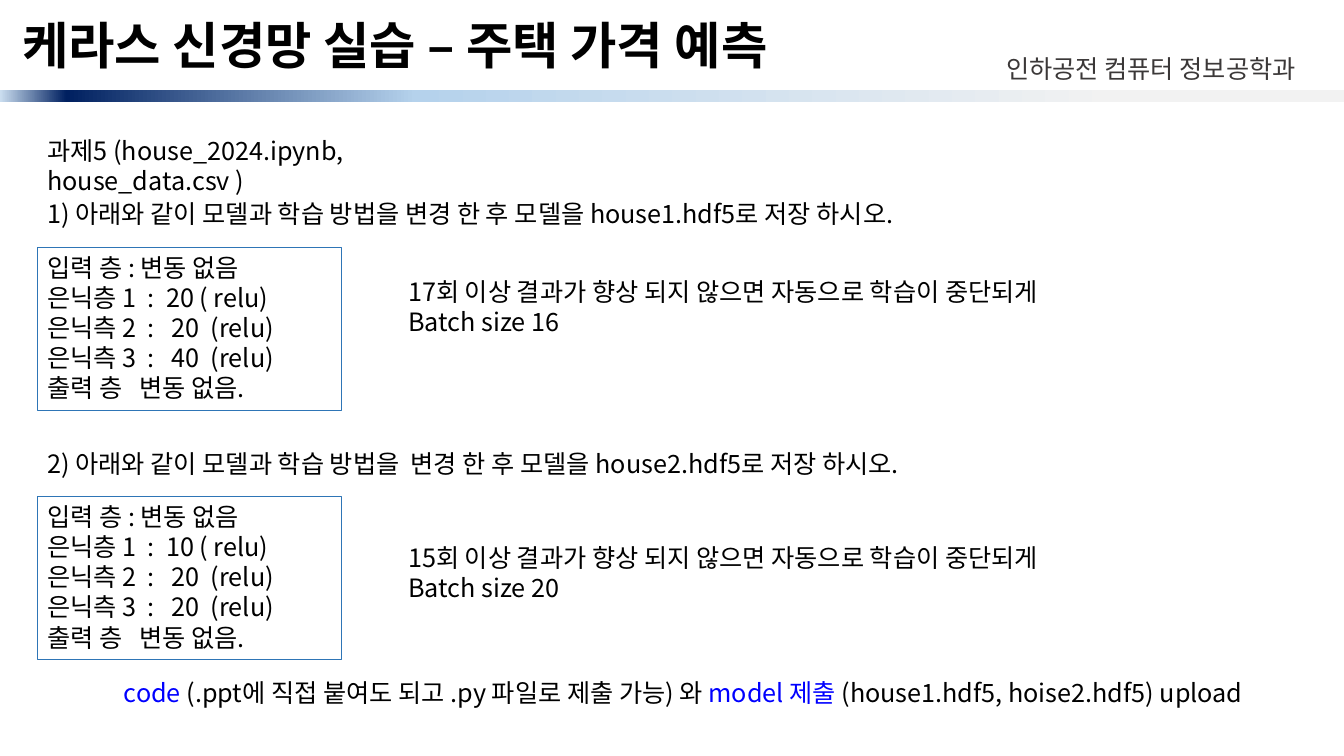
"""Build the slide with the Keras house price assignment."""
from lxml import etree
from pptx import Presentation
from pptx.dml.color import RGBColor
from pptx.enum.shapes import MSO_SHAPE
from pptx.enum.text import MSO_ANCHOR, PP_ALIGN
from pptx.oxml import parse_xml
from pptx.oxml.ns import qn
from pptx.util import Inches, Pt

RECT = MSO_SHAPE.RECTANGLE
TOP, MIDDLE = MSO_ANCHOR.TOP, MSO_ANCHOR.MIDDLE
LEFT = PP_ALIGN.LEFT
THEME = {
    "ink": "000000", "link": "0000FF", "edge": "2E75B6", "dept": "3B3838",
    "fade": [(0, "F2F2F2"), (17, "F2F2F2"), (69, "B5D2EC"), (95, "002060"), (100, "CEE1F2")],
    "body": 18, "title": 36, "pitch": 21.5,
    "font": "Noto Sans CJK KR", "head": "Calibri", "side": "Arial",
}

deck = Presentation()
deck.slide_width, deck.slide_height = Inches(13.33), Inches(7.5)
slide = deck.slides.add_slide(deck.slide_layouts[6])
shapes = slide.shapes


def place(x, y, w, h):
    """Turn percent shares of the slide into lengths."""
    wide, high = deck.slide_width / 100, deck.slide_height / 100
    return int(x * wide), int(y * high), int(w * wide), int(h * high)


def write(shape, lines, font=THEME["font"], size=THEME["body"], tint=THEME["ink"],
          pitch=Pt(THEME["pitch"]), bold=False):
    """Fill a shape with lines, each a list of texts and their colours."""
    frame = shape.text_frame
    frame.word_wrap = True
    frame.vertical_anchor = TOP
    frame.margin_right = 0
    for i, line in enumerate(lines):
        para = frame.paragraphs[0] if i == 0 else frame.add_paragraph()
        para.alignment = LEFT
        para.line_spacing = pitch
        para.font.name, para.font.size, para.font.bold = font, Pt(size), bold
        para.font.color.rgb = RGBColor.from_string(tint)
        latin = para.font._element.find(qn("a:latin"))
        east = etree.Element(qn("a:ea"), typeface=THEME["font"])
        latin.addnext(east)
        if isinstance(line, str):
            para.text = line
            continue
        for text, shade in line:
            run = para.add_run()
            run.text = text
            run.font.color.rgb = RGBColor.from_string(THEME[shade])


bar = shapes.add_shape(RECT, *place(-0.08, 11.87, 100.08, 1.6))
bar.shadow.inherit = False
bar.line.fill.background()
bar.fill.gradient()
bar.fill.gradient_angle = 180
stops = bar.fill._xPr.find(qn("a:gradFill")).find(qn("a:gsLst"))
for stop in list(stops):
    stops.remove(stop)
for spot, shade in THEME["fade"]:
    stops.append(parse_xml(
        '<a:gs xmlns:a="http://schemas.openxmlformats.org/drawingml/2006/main" '
        f'pos="{spot * 1000}"><a:srgbClr val="{shade}"/></a:gs>'))

dept = shapes.add_textbox(*place(74.12, 6.4, 25.58, 5.33))
write(dept, ["인하공전 컴퓨터 정보공학과"], font=THEME["side"], tint=THEME["dept"])

title = shapes.add_textbox(*place(0.45, 1.2, 99.17, 10.27))
write(title, ["케라스 신경망 실습 – 주택 가격 예측"], font=THEME["head"],
      size=THEME["title"], pitch=0.9, bold=True)
title.text_frame.vertical_anchor = MIDDLE
title.text_frame.margin_left = Inches(0.16)

MARGIN, NOTE = 2.78, 29.63
intro = shapes.add_textbox(*place(MARGIN, 17.2, 38.63, 5.33))
write(intro, ["과제5 (house_2024.ipynb,\vhouse_data.csv )"])

tasks = [
    (25.6, 35.87, "1) 아래와 같이 모델과 학습 방법을 변경 한 후 모델을 house1.hdf5로 저장 하시오.",
     (20, 20, 40), 17, 16),
    (58.6, 71.07, "2) 아래와 같이 모델과 학습 방법을  변경 한 후 모델을 house2.hdf5로 저장 하시오.",
     (10, 20, 20), 15, 20),
]
for top, low, order, units, wait, batch in tasks:
    head = shapes.add_textbox(*place(MARGIN, top, 74.72, 5.33))
    write(head, [order])

    box = shapes.add_shape(RECT, *place(MARGIN, top + 7.1, 22.66, 21.6))
    box.shadow.inherit = False
    box.fill.background()
    box.line.color.rgb = RGBColor.from_string(THEME["edge"])
    box.line.width = Pt(0.75)
    first, second, third = units
    write(box, [
        "입력 층 : 변동 없음",
        f"은닉층 1  :  {first} ( relu)",
        f"은닉측 2  :   {second}  (relu)",
        f"은닉측 3  :   {third}  (relu)",
        "출력 층   변동 없음.",
    ])

    note = shapes.add_textbox(*place(NOTE, low, 54.39, 9.47))
    write(note, [f"{wait}회 이상 결과가 향상 되지 않으면 자동으로 학습이 중단되게",
                 f"Batch size {batch}"])

hand = shapes.add_textbox(*place(8.48, 88.93, 89.42, 5.33))
write(hand, [[
    ("code", "link"),
    (" (.ppt에 직접 붙여도 되고 .py 파일로 제출 가능) 와 ", "ink"),
    ("model 제출 ", "link"),
    ("(house1.hdf5, hoise2.hdf5) upload", "ink"),
]])

deck.save("out.pptx")
